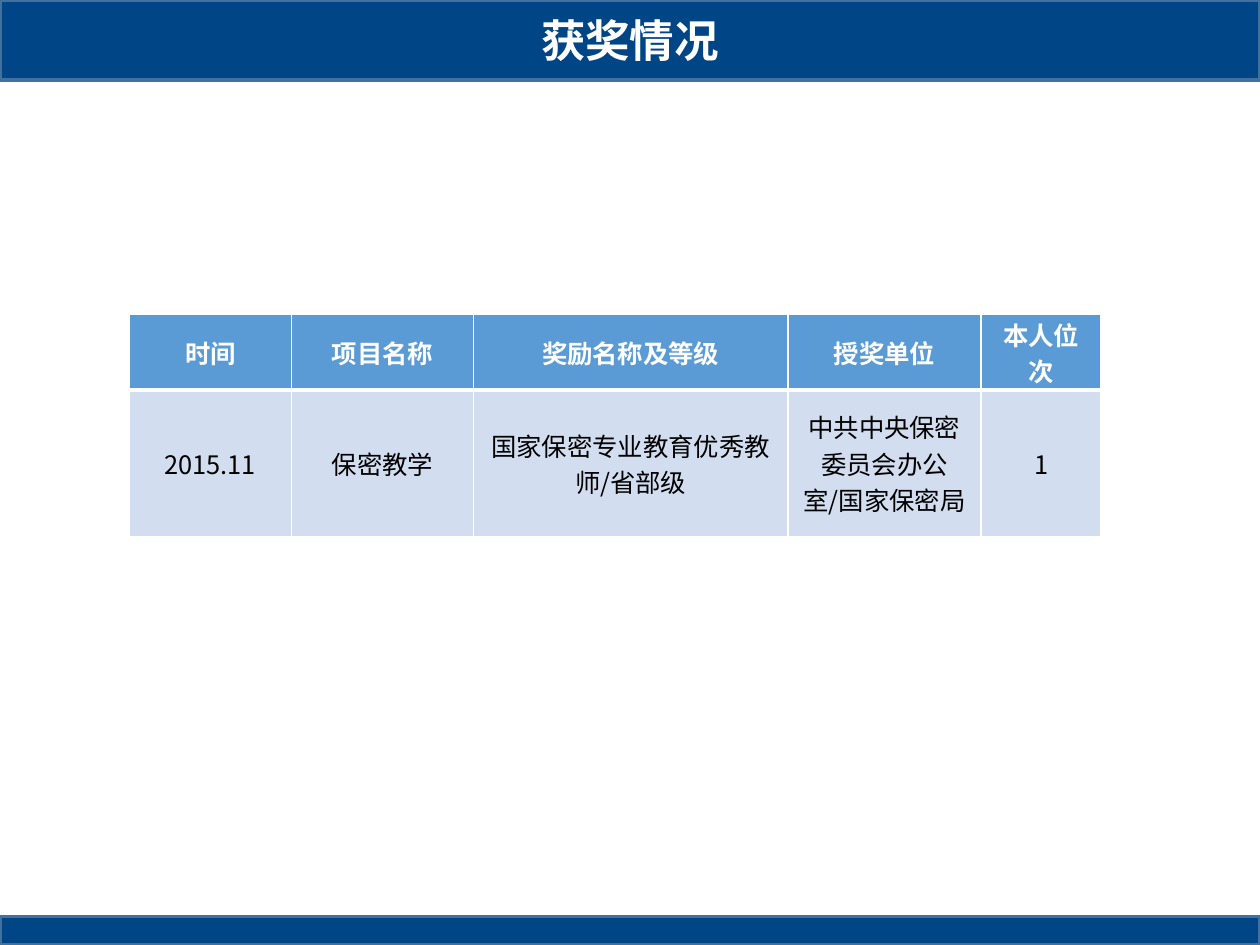
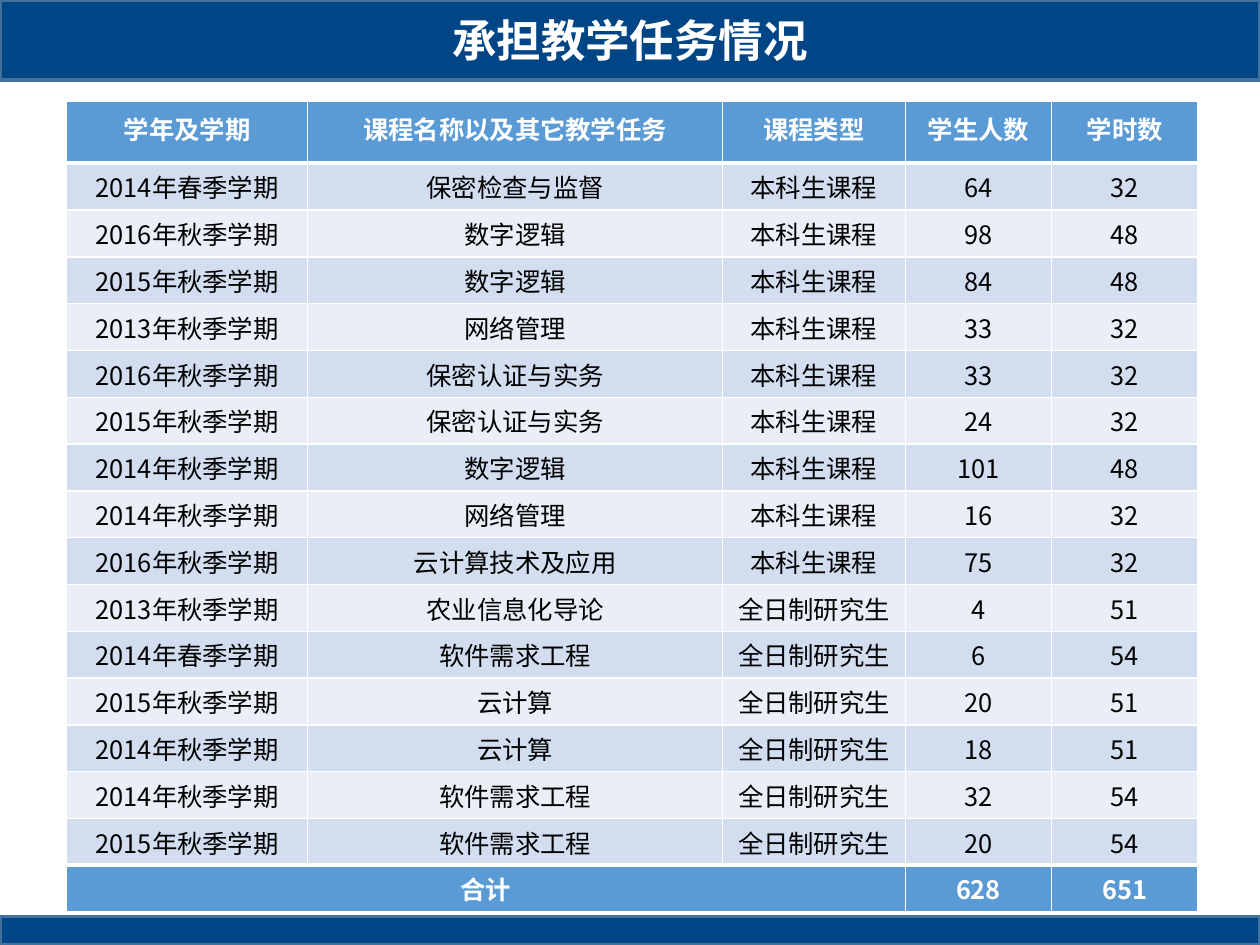
from pptx import Presentation
from pptx.dml.color import RGBColor
from pptx.enum.shapes import MSO_SHAPE
from pptx.enum.text import MSO_ANCHOR, PP_ALIGN
from pptx.oxml.ns import qn
from pptx.util import Cm, Pt
from lxml.etree import SubElement, Element

WIDTH, HEIGHT = 28, 21
NAVY, EDGE, WHITE, BLACK = "004586", "41719C", "FFFFFF", "000000"
HEAD, DARK, LIGHT = "5B9BD5", "D2DEEF", "EAEFF7"
HAN = "Noto Sans CJK SC"
THIN, THICK = 1, 3


def color(value):
    return RGBColor.from_string(value)


def write(para, text, size, tint, bold=False, face=HAN):
    para.text = text
    para.alignment = PP_ALIGN.CENTER
    font = para.font
    font.name, font.size, font.bold = face, Pt(size), bold
    font.color.rgb = color(tint)
    style = para._p.pPr.find(qn("a:defRPr"))
    SubElement(style, qn("a:ea"), typeface=HAN)


def band(slide, top, height, title=""):
    shape = slide.shapes.add_shape(
        MSO_SHAPE.RECTANGLE, 0, Cm(top), Cm(WIDTH), Cm(height))
    shape.shadow.inherit = False
    shape.fill.solid()
    shape.fill.fore_color.rgb = color(NAVY)
    shape.line.color.rgb = color(EDGE)
    shape.line.width = Pt(2)
    if title:
        frame = shape.text_frame
        frame.margin_left = frame.margin_right = 0
        frame.margin_top = frame.margin_bottom = 0
        frame.vertical_anchor = MSO_ANCHOR.MIDDLE
        write(frame.paragraphs[0], title, 28, WHITE, True, "Arial")


def border(cell, above, below):
    props = cell._tc.get_or_add_tcPr()
    sides = (("L", THIN), ("R", THIN), ("T", above), ("B", below))
    for place, (side, width) in enumerate(sides):
        line = Element(qn("a:ln" + side), w=str(Pt(width)))
        fill = SubElement(line, qn("a:solidFill"))
        SubElement(fill, qn("a:srgbClr"), val=WHITE)
        props.insert(place, line)


def grid(slide, left, top, cols, heights, rows, inset, total=False, lead=None):
    table = slide.shapes.add_table(
        len(rows), len(cols), Cm(left), Cm(top),
        Cm(sum(cols)), Cm(sum(heights))).table
    for col, width in zip(table.columns, cols):
        col.width = Cm(width)
    for row, height in zip(table.rows, heights):
        row.height = Cm(height)
    last = len(rows) - 1
    heavy = {1, last} if total else {1}
    for r, row in enumerate(rows):
        strong = r == 0 or total and r == last
        fill = HEAD if strong else DARK if r % 2 else LIGHT
        above, below = (THICK if e in heavy else THIN for e in (r, r + 1))
        for c, text in enumerate(row):
            cell = table.cell(r, c)
            cell.fill.solid()
            cell.fill.fore_color.rgb = color(fill)
            cell.vertical_anchor = MSO_ANCHOR.MIDDLE
            cell.margin_left = cell.margin_right = Cm(inset)
            cell.margin_top = cell.margin_bottom = 0
            border(cell, above, below)
            para = cell.text_frame.paragraphs[0]
            if text:
                write(para, text, 16, WHITE if strong else BLACK, strong)
            if lead and r == 0:
                para.line_spacing = Pt(lead)
    return table


def page(deck, title):
    slide = deck.slides.add_slide(deck.slide_layouts[6])
    band(slide, 0, 1.78, title)
    band(slide, 20.37, 0.63)
    return slide


def awards(deck):
    slide = page(deck, "获奖情况")
    rows = [
        ("时间", "项目名称", "奖励名称及等级", "授奖单位", "本人位次"),
        ("2015.11", "保密教学", "国家保密专业教育优秀教师/省部级",
         "中共中央保密委员会办公室/国家保密局", "1"),
    ]
    grid(slide, 2.87, 6.99, (3.61, 4.04, 6.99, 4.29, 2.67),
         (1.68, 1.83), rows, 0.23)


def courses(deck):
    slide = page(deck, "承担教学任务情况")
    under, grad = "本科生课程", "全日制研究生"
    data = [
        ("2014年春", "保密检查与监督", under, 64, 32),
        ("2016年秋", "数字逻辑", under, 98, 48),
        ("2015年秋", "数字逻辑", under, 84, 48),
        ("2013年秋", "网络管理", under, 33, 32),
        ("2016年秋", "保密认证与实务", under, 33, 32),
        ("2015年秋", "保密认证与实务", under, 24, 32),
        ("2014年秋", "数字逻辑", under, 101, 48),
        ("2014年秋", "网络管理", under, 16, 32),
        ("2016年秋", "云计算技术及应用", under, 75, 32),
        ("2013年秋", "农业信息化导论", grad, 4, 51),
        ("2014年春", "软件需求工程", grad, 6, 54),
        ("2015年秋", "云计算", grad, 20, 51),
        ("2014年秋", "云计算", grad, 18, 51),
        ("2014年秋", "软件需求工程", grad, 32, 54),
        ("2015年秋", "软件需求工程", grad, 20, 54),
    ]
    rows = [("学年及学期", "课程名称以及其它教学任务", "课程类型",
             "学生人数", "学时数")]
    rows += [(term + "季学期", name, kind, str(count), str(hours))
             for term, name, kind, count, hours in data]
    rows.append(("合计", "", "", "628", "651"))
    heights = [1.37] + [1.04] * (len(rows) - 1)
    table = grid(slide, 1.48, 2.26, (5.36, 9.22, 4.06, 3.25, 3.25),
                 heights, rows, 0.18, total=True, lead=18)
    last = len(rows) - 1
    table.cell(last, 0).merge(table.cell(last, 2))


deck = Presentation()
deck.slide_width, deck.slide_height = Cm(WIDTH), Cm(HEIGHT)
awards(deck)
courses(deck)
deck.save("out.pptx")
